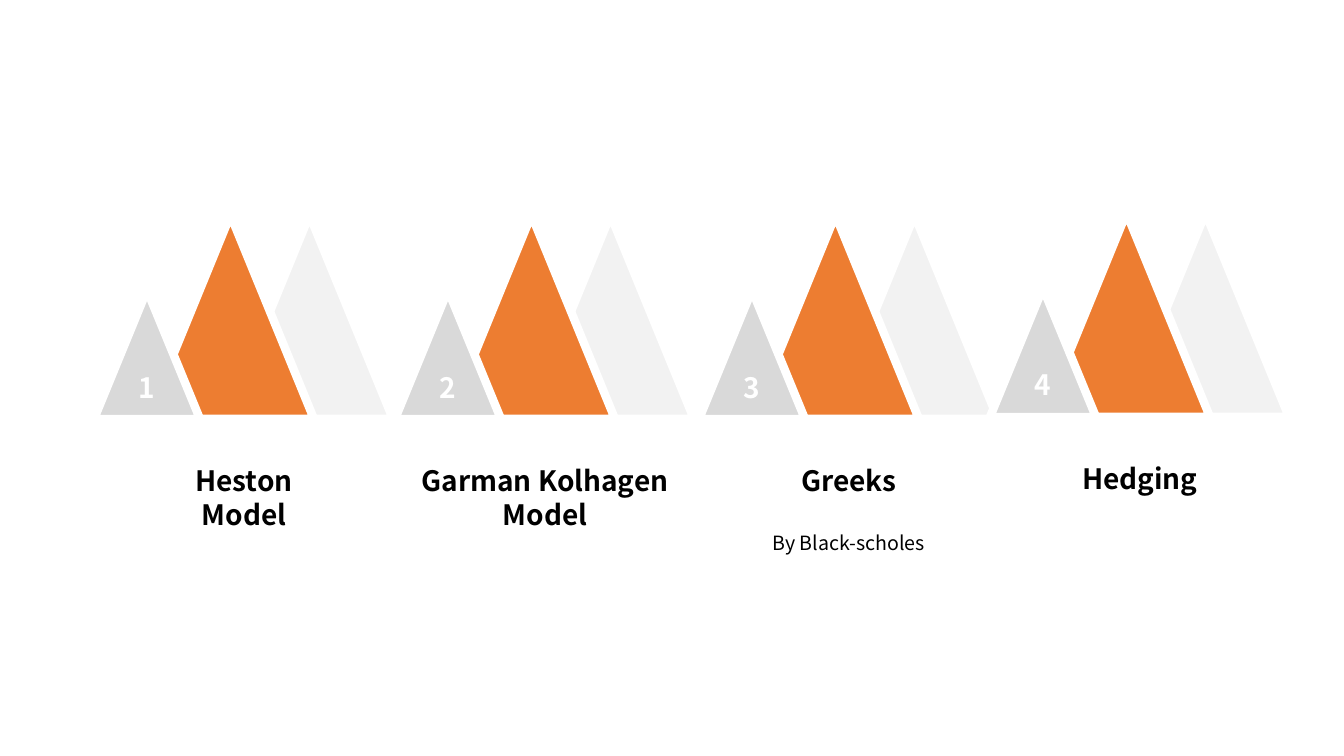
"""Build a slide of four numbered mountain groups with titles."""
from lxml.etree import SubElement
from pptx import Presentation
from pptx.dml.color import RGBColor
from pptx.enum.shapes import MSO_SHAPE
from pptx.enum.text import MSO_ANCHOR, PP_ALIGN
from pptx.oxml.ns import qn
from pptx.util import Emu, Pt

FONT = "Noto Sans CJK KR"
WHITE, BLACK = "FFFFFF", "000000"
TOPICS = [
    {"left": 82, "shift": 0, "title": ["Heston", "Model"], "height": 102},
    {"left": 383, "shift": 0, "title": ["Garman Kolhagen Model"], "height": 89},
    {"left": 687, "shift": 0, "title": ["Greeks"], "height": 55,
     "caption": "By Black-scholes"},
    {"left": 978, "shift": -2, "title": ["Hedging"], "height": 57},
]
PEAKS = [
    (144, 167, 204, "F2F2F2"),
    (65, 167, 204, "ED7D31"),
    (12, 106, 129, "D9D9D9"),
]
BASELINE = 419
TITLE_TOP, CAPTION_TOP = 459, 514
TEXT_WIDTH, CAPTION_HEIGHT = 324, 89


def px(length):
    return Emu(round(length * 914400 / 100.8))


def color(value):
    return RGBColor.from_string(value)


def write(frame, lines, size=20, bold=True, fill=BLACK, spacing=None):
    frame.word_wrap = True
    for index, line in enumerate(lines):
        para = frame.paragraphs[0] if index == 0 else frame.add_paragraph()
        para.alignment = PP_ALIGN.CENTER
        if spacing:
            para.line_spacing = spacing
        span = para.add_run()
        span.text = line
        span.font.name = FONT
        span.font.size = Pt(size)
        span.font.bold = bold
        span.font.color.rgb = color(fill)


def add_label(page, left, top, height, lines, **style):
    box = page.shapes.add_textbox(px(left), px(top), px(TEXT_WIDTH), px(height))
    write(box.text_frame, lines, **style)


def add_peak(page, left, top, width, height, fill):
    peak = page.shapes.add_shape(
        MSO_SHAPE.ISOSCELES_TRIANGLE, px(left), px(top), px(width), px(height))
    peak.shadow.inherit = False
    peak.fill.solid()
    peak.fill.fore_color.rgb = color(fill)
    peak.line.color.rgb = color(WHITE)
    peak.line.width = Pt(6)
    SubElement(peak.line._get_or_add_ln(), qn("a:miter"), lim="800000")
    return peak


def add_topic(page, number, topic):
    left, shift = topic["left"], topic["shift"]
    if "caption" in topic:
        add_label(page, left, CAPTION_TOP + shift, CAPTION_HEIGHT,
                  [topic["caption"]], size=14, bold=False, spacing=1.5)
    add_label(page, left, TITLE_TOP + shift, topic["height"], topic["title"])
    for offset, width, height, fill in PEAKS:
        peak = add_peak(page, left + offset, BASELINE - height + shift,
                        width, height, fill)
    peak.text_frame.vertical_anchor = MSO_ANCHOR.MIDDLE
    write(peak.text_frame, [str(number)], fill=WHITE)


def main():
    deck = Presentation()
    deck.slide_width, deck.slide_height = px(1344), px(756)
    page = deck.slides.add_slide(deck.slide_layouts[6])
    for number, topic in enumerate(TOPICS, start=1):
        add_topic(page, number, topic)
    deck.save("out.pptx")


if __name__ == "__main__":
    main()
